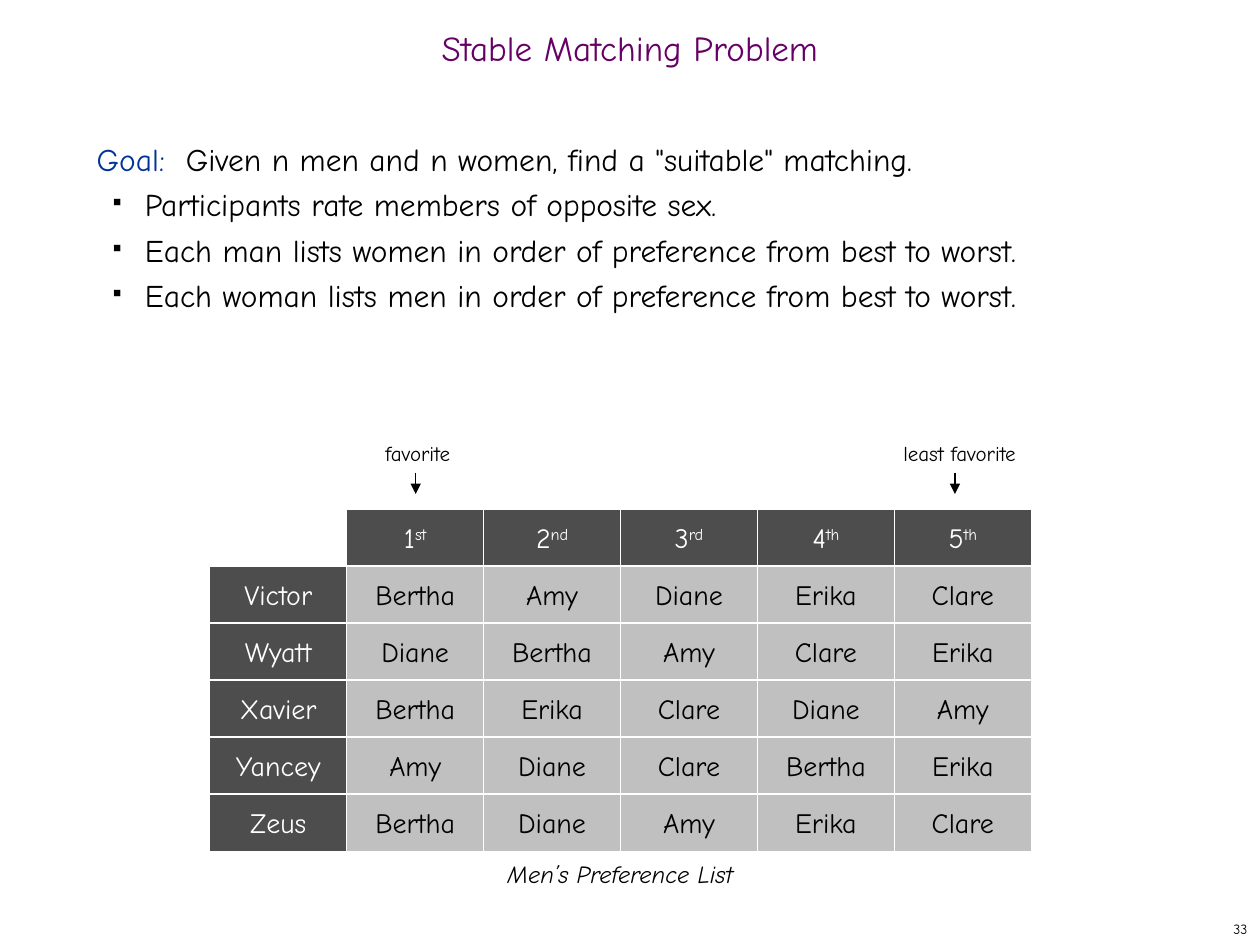
"""Build the stable matching slide with the men's preference list."""
from dataclasses import dataclass

from lxml.etree import SubElement
from pptx import Presentation
from pptx.dml.color import RGBColor
from pptx.enum.shapes import MSO_CONNECTOR as Connector, MSO_SHAPE as Preset
from pptx.enum.text import MSO_ANCHOR as Anchor, MSO_AUTO_SIZE as AutoSize, PP_ALIGN as Align
from pptx.oxml.ns import qn
from pptx.util import Cm, Pt

FONT = "Comic Neue"
BLACK = RGBColor(0x00, 0x00, 0x00)
WHITE = RGBColor(0xFF, 0xFF, 0xFF)
PURPLE = RGBColor(0x66, 0x00, 0x66)
BLUE = RGBColor(0x00, 0x33, 0x99)
DARK_GRAY = RGBColor(0x4D, 0x4D, 0x4D)
LIGHT_GRAY = RGBColor(0xC0, 0xC0, 0xC0)

GRID_LEFT, GRID_TOP = 4.23, 10.26
CELL_WIDTH, CELL_HEIGHT = 2.76, 1.15

RANKS = [("1", "st"), ("2", "nd"), ("3", "rd"), ("4", "th"), ("5", "th")]
PREFERENCES = {
    "Victor": ["Bertha", "Amy", "Diane", "Erika", "Clare"],
    "Wyatt": ["Diane", "Bertha", "Amy", "Clare", "Erika"],
    "Xavier": ["Bertha", "Erika", "Clare", "Diane", "Amy"],
    "Yancey": ["Amy", "Diane", "Clare", "Bertha", "Erika"],
    "Zeus": ["Bertha", "Diane", "Amy", "Erika", "Clare"],
}
GOAL_POINTS = [
    "Participants rate members of opposite sex.",
    "Each man lists women in order of preference from best to worst.",
    "Each woman lists men in order of preference from best to worst.",
]


@dataclass(frozen=True)
class Box:
    left: float
    top: float
    width: float
    height: float

    def lengths(self) -> tuple:
        return Cm(self.left), Cm(self.top), Cm(self.width), Cm(self.height)


@dataclass(frozen=True)
class Cell:
    row: int
    column: int
    text: str
    fill: RGBColor
    color: RGBColor
    suffix: str = ""


@dataclass(frozen=True)
class Marker:
    text: str
    box: Box
    arrow_x: float


MARKERS = [
    Marker("favorite", Box(7.77, 8.89, 1.35, 0.51), 8.38),
    Marker("least favorite", Box(18.21, 8.89, 2.31, 0.51), 19.25),
]


def format_font(paragraph, size: float, color: RGBColor) -> None:
    font = paragraph.font
    font.name, font.size, font.color.rgb = FONT, Pt(size), color


def add_label(slide, box: Box, text: str, size: float, align=Align.LEFT, wrap=False):
    shape = slide.shapes.add_textbox(*box.lengths())
    frame = shape.text_frame
    frame.word_wrap = wrap
    frame.vertical_anchor = Anchor.MIDDLE
    paragraph = frame.paragraphs[0]
    paragraph.text, paragraph.alignment = text, align
    format_font(paragraph, size, BLACK)
    return shape


def add_title(slide) -> None:
    title = slide.shapes.title
    title.left, title.top, title.width, title.height = Box(0, 0.43, 25.4, 1.27).lengths()
    frame = title.text_frame
    frame.auto_size = AutoSize.NONE
    frame.vertical_anchor = Anchor.MIDDLE
    paragraph = frame.paragraphs[0]
    paragraph.text, paragraph.alignment = "Stable Matching Problem", Align.CENTER
    paragraph.line_spacing = 0.7
    format_font(paragraph, 20, PURPLE)


def add_bullet(paragraph) -> None:
    properties = paragraph._p.get_or_add_pPr()
    properties.set("marL", str(Cm(0.97)))
    properties.set("indent", str(-Cm(0.64)))
    color = SubElement(properties, qn("a:buClr"))
    SubElement(color, qn("a:srgbClr"), val=str(BLACK))
    SubElement(properties, qn("a:buSzPct"), val="35000")
    SubElement(properties, qn("a:buChar"), char="■")


def add_goal(slide) -> None:
    frame = slide.shapes.add_textbox(*Box(1.7, 2.54, 21.79, 6.35).lengths()).text_frame
    frame.word_wrap = True
    goal = frame.paragraphs[0]
    lead = goal.add_run()
    lead.text, lead.font.color.rgb = "Goal:  ", BLUE
    goal.add_run().text = 'Given n men and n women, find a "suitable" matching.'
    for point in GOAL_POINTS:
        paragraph = frame.add_paragraph()
        paragraph.text, paragraph.level = point, 1
        add_bullet(paragraph)
    for paragraph in frame.paragraphs:
        paragraph.line_spacing = Pt(26)
        format_font(paragraph, 18, BLACK)


def preference_cells() -> list[Cell]:
    cells = [
        Cell(0, column, number, DARK_GRAY, WHITE, suffix)
        for column, (number, suffix) in enumerate(RANKS, start=1)
    ]
    for row, (man, women) in enumerate(PREFERENCES.items(), start=1):
        cells.append(Cell(row, 0, man, DARK_GRAY, WHITE))
        cells += [
            Cell(row, column, woman, LIGHT_GRAY, BLACK)
            for column, woman in enumerate(women, start=1)
        ]
    return cells


def add_cell(group, cell: Cell) -> None:
    box = Box(GRID_LEFT + cell.column * CELL_WIDTH, GRID_TOP + cell.row * CELL_HEIGHT,
              CELL_WIDTH, CELL_HEIGHT)
    shape = group.shapes.add_shape(Preset.RECTANGLE, *box.lengths())
    shape.shadow.inherit = False
    shape.fill.solid()
    shape.fill.fore_color.rgb = cell.fill
    shape.line.color.rgb, shape.line.width = WHITE, Pt(0.75)
    frame = shape.text_frame
    frame.word_wrap = False
    frame.vertical_anchor = Anchor.MIDDLE
    paragraph = frame.paragraphs[0]
    paragraph.text, paragraph.alignment = cell.text, Align.CENTER
    if cell.suffix:
        suffix = paragraph.add_run()
        suffix.text = cell.suffix
        suffix._r.get_or_add_rPr().set("baseline", "30000")
    format_font(paragraph, 16, cell.color)


def add_marker(slide, marker: Marker) -> None:
    frame = add_label(slide, marker.box, marker.text, 12).text_frame
    frame.margin_left = frame.margin_right = frame.margin_top = frame.margin_bottom = 0
    frame.vertical_anchor = Anchor.TOP
    frame.auto_size = AutoSize.SHAPE_TO_FIT_TEXT
    arrow_x = Cm(marker.arrow_x)
    arrow = slide.shapes.add_connector(Connector.STRAIGHT, arrow_x, Cm(9.53), arrow_x, Cm(9.96))
    arrow.line.color.rgb, arrow.line.width = BLACK, Pt(0.75)
    SubElement(arrow.line._get_or_add_ln(), qn("a:tailEnd"), type="triangle")
    SubElement(arrow._element.spPr, qn("a:effectLst"))


def main() -> None:
    presentation = Presentation()
    presentation.slide_width, presentation.slide_height = Cm(25.4), Cm(19.05)
    slide = presentation.slides.add_slide(presentation.slide_layouts.get_by_name("Title Only"))
    add_title(slide)
    add_goal(slide)
    preference_list = slide.shapes.add_group_shape()
    for cell in preference_cells():
        add_cell(preference_list, cell)
    caption_box = Box(GRID_LEFT, 17.04, 6 * CELL_WIDTH, CELL_HEIGHT)
    caption = add_label(slide, caption_box, "Men’s Preference List", 14, Align.CENTER)
    caption.text_frame.paragraphs[0].font.italic = True
    for marker in MARKERS:
        add_marker(slide, marker)
    add_label(slide, Box(20.12, 18.42, 5.28, 0.63), "33", 8, Align.RIGHT, wrap=True)
    presentation.save("out.pptx")


if __name__ == "__main__":
    main()
